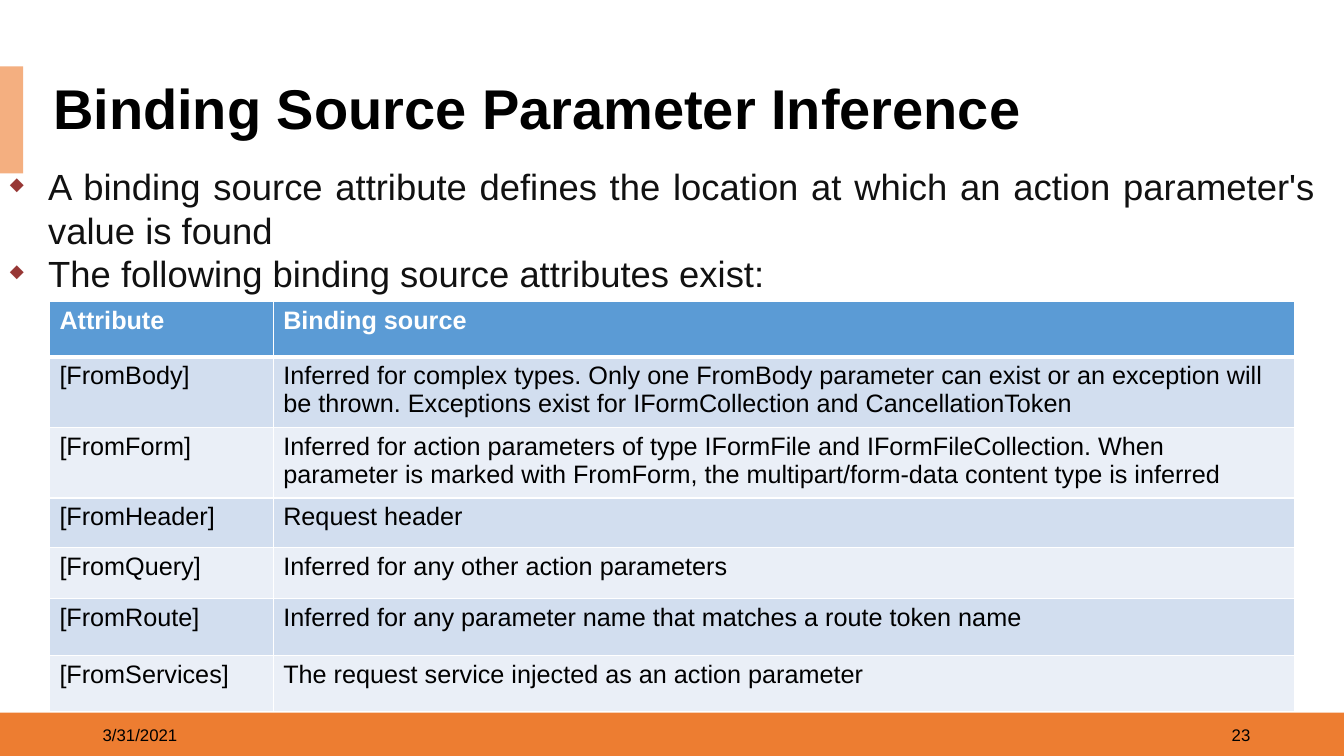
"""Build a slide on binding source parameter inference."""
import pptx
import pptx.dml.color
import pptx.enum.shapes
import pptx.enum.text
import pptx.oxml
import pptx.oxml.ns
import pptx.util

Inches = pptx.util.Inches
Pt = pptx.util.Pt
ALIGN = pptx.enum.text.PP_ALIGN
ANCHOR = pptx.enum.text.MSO_ANCHOR

ATTRIBUTES = [
    ("Attribute", "Binding source", 0.55),
    ("[FromBody]", "Inferred for complex types. Only one FromBody parameter can exist or an exception will be thrown. Exceptions exist for IFormCollection and CancellationToken", 0.7),
    ("[FromForm]", "Inferred for action parameters of type IFormFile and IFormFileCollection. When parameter is marked with FromForm, the multipart/form-data content type is inferred", 0.7),
    ("[FromHeader]", "Request header", 0.49),
    ("[FromQuery]", "Inferred for any other action parameters", 0.51),
    ("[FromRoute]", "Inferred for any parameter name that matches a route token name", 0.56),
    ("[FromServices]", "The request service injected as an action parameter", 0.56),
]


def rgb(value):
    return pptx.dml.color.RGBColor.from_string(value)


def xml(markup):
    namespace = pptx.oxml.ns.nsdecls("a")
    return pptx.oxml.parse_xml(markup.replace(" ", f" {namespace} ", 1))


class SlideBuilder:
    font = "Arial"
    ink = "000000"
    accent = "ED7D31"
    accent_light = "F4AF80"
    header = "5B9BD5"
    bands = ("EAEFF7", "D2DEEF")
    rule = "FFFFFF"
    bullet = "973735"

    def __init__(self, slide):
        self.slide = slide

    def style(self, paragraph, size, color, bold=False):
        paragraph.font.name = self.font
        paragraph.font.size = Pt(size)
        paragraph.font.bold = bold
        paragraph.font.color.rgb = rgb(color)

    def bar(self, left, top, width, height, color):
        bar = self.slide.shapes.add_shape(
            pptx.enum.shapes.MSO_SHAPE.RECTANGLE,
            Inches(left), Inches(top), Inches(width), Inches(height))
        bar.shadow.inherit = False
        bar.fill.solid()
        bar.fill.fore_color.rgb = rgb(color)
        bar.line.fill.background()

    def text(self, left, top, width, height, lines, size, color=ink, bold=False,
             align=ALIGN.LEFT, anchor=ANCHOR.MIDDLE, spacing=1.0, bulleted=False):
        box = self.slide.shapes.add_textbox(
            Inches(left), Inches(top), Inches(width), Inches(height))
        frame = box.text_frame
        frame.word_wrap = True
        frame.vertical_anchor = anchor
        frame.text = "\n".join(lines)
        for paragraph in frame.paragraphs:
            paragraph.alignment = align
            paragraph.line_spacing = spacing
            if bulleted:
                self.add_bullet(paragraph)
            self.style(paragraph, size, color, bold)
        return box

    def add_bullet(self, paragraph):
        properties = paragraph._p.get_or_add_pPr()
        properties.set("marL", str(Inches(0.38)))
        properties.set("indent", str(Inches(-0.38)))
        for markup in (
            f'<a:buClr ><a:srgbClr val="{self.bullet}"/></a:buClr>',
            '<a:buSzPct val="50000"/>',
            '<a:buChar char="◆"/>',
            f'<a:tabLst ><a:tab pos="{Inches(0.26)}" algn="l"/></a:tabLst>',
        ):
            properties.append(xml(markup))

    def table(self, left, top, widths, rows):
        height = sum(row[-1] for row in rows)
        table = self.slide.shapes.add_table(
            len(rows), len(widths), Inches(left), Inches(top),
            Inches(sum(widths)), Inches(height)).table
        for column, width in zip(table.columns, widths):
            column.width = Inches(width)
        for index, (*labels, row_height) in enumerate(rows):
            table.rows[index].height = Inches(row_height)
            for column, label in enumerate(labels):
                self.cell(table.cell(index, column), label, index)

    def cell(self, cell, label, row):
        is_header = row == 0
        cell.text = label
        self.style(cell.text_frame.paragraphs[0], 18,
                   self.rule if is_header else self.ink, is_header)
        weights = {"L": 1, "R": 1, "T": 3 if row == 1 else 1, "B": 3 if is_header else 1}
        for side, weight in weights.items():
            cell._tc.get_or_add_tcPr().append(xml(
                f'<a:ln{side} w="{Pt(weight)}"><a:solidFill>'
                f'<a:srgbClr val="{self.rule}"/></a:solidFill></a:ln{side}>'))
        cell.fill.solid()
        cell.fill.fore_color.rgb = rgb(self.header if is_header else self.bands[row % 2])


def main():
    deck = pptx.Presentation()
    deck.slide_width = Inches(13.33)
    deck.slide_height = Inches(7.5)
    page = SlideBuilder(deck.slides.add_slide(deck.slide_layouts[6]))

    page.bar(0, 7.07, 13.33, 0.43, page.accent)
    page.bar(0, 0.66, 0.23, 1.06, page.accent_light)
    page.text(0.92, 7.09, 3, 0.4, ["3/31/2021"], 12)
    page.text(9.5, 7.09, 3, 0.4, ["23"], 12, align=ALIGN.RIGHT)
    title = page.text(0.43, 0.79, 12.2, 0.63, ["Binding Source Parameter Inference"],
                      40, bold=True, spacing=0.9)
    title.fill.solid()
    title.fill.fore_color.rgb = rgb("FFFFFF")
    page.text(0, 1.58, 13.16, 1.41, [
        "A binding source attribute defines the location at which an action parameter's value is found",
        "The following binding source attributes exist:",
    ], 26, "111111", align=ALIGN.JUSTIFY, anchor=ANCHOR.TOP, bulleted=True)
    page.table(0.49, 2.99, (2.22, 10.13), ATTRIBUTES)
    deck.save("out.pptx")


if __name__ == "__main__":
    main()
